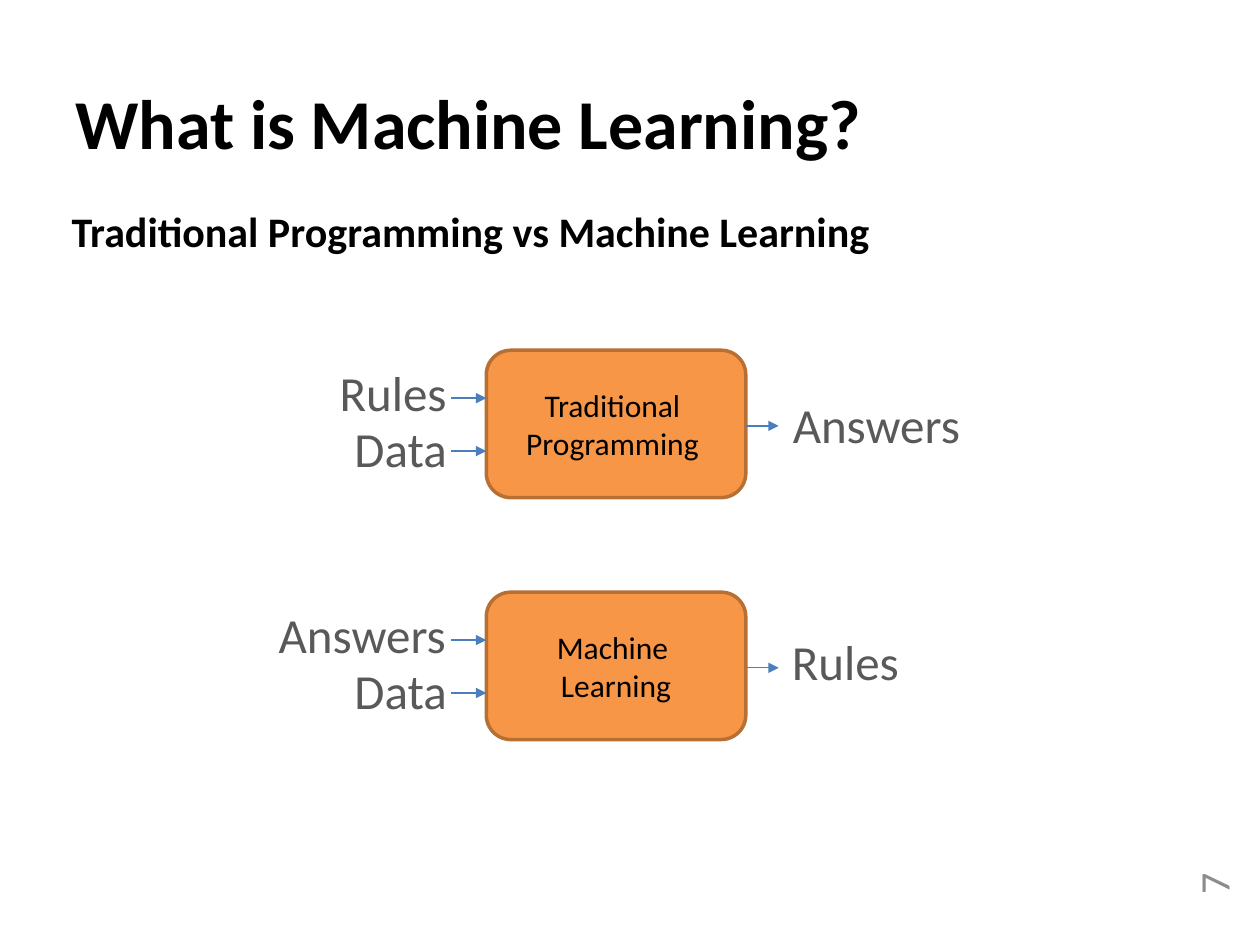
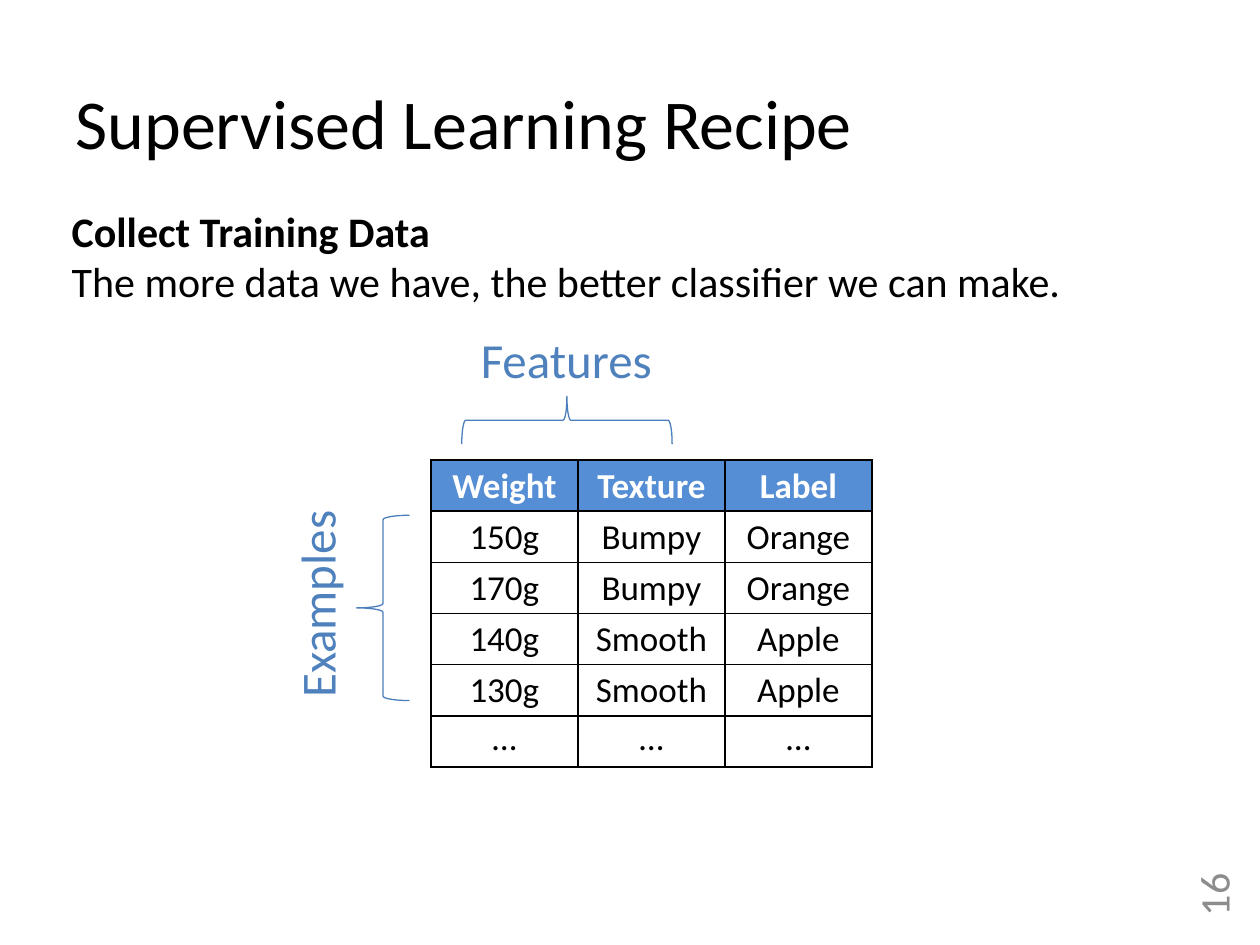
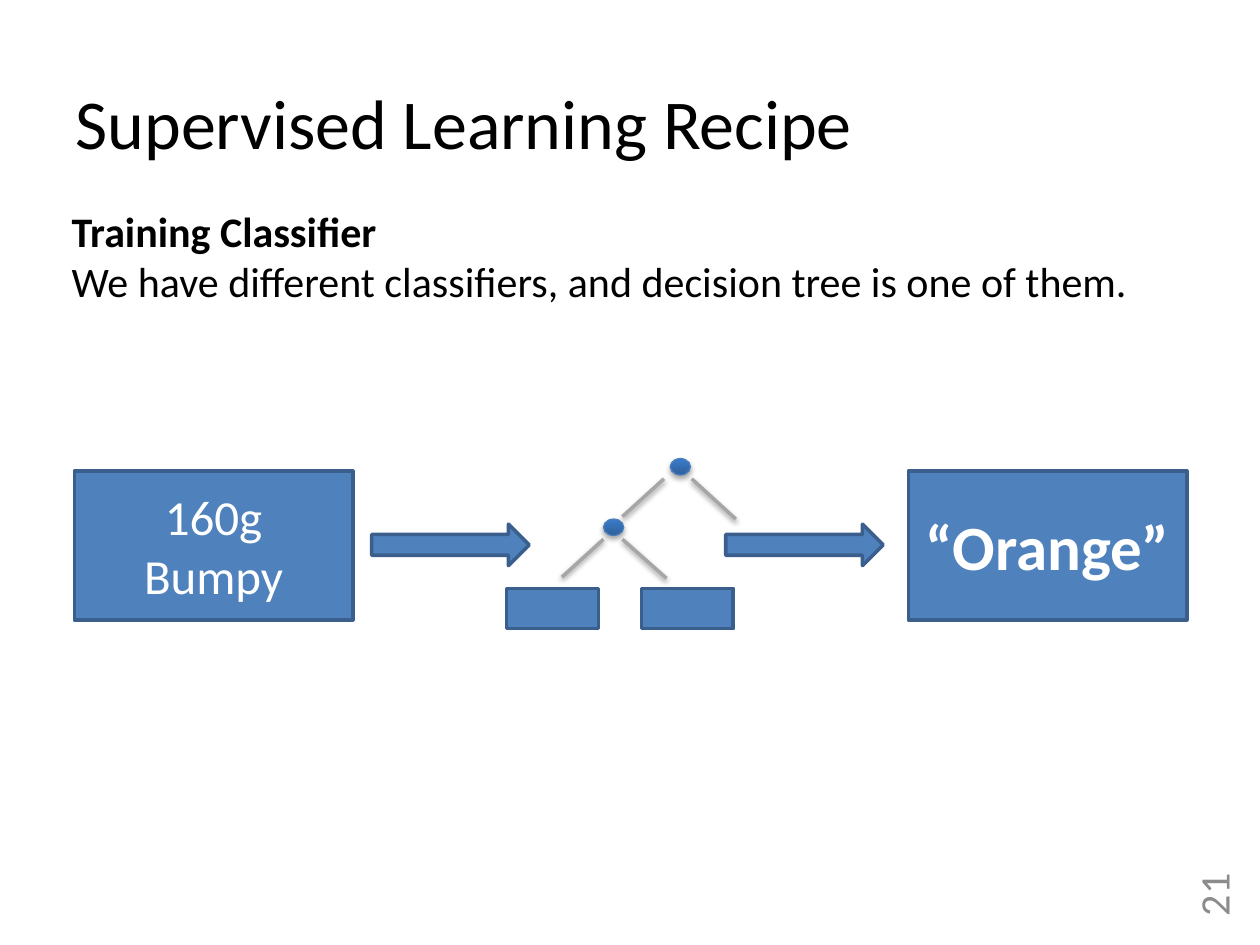
from dataclasses import dataclass

from lxml.etree import SubElement
from pptx import Presentation
from pptx.dml.color import RGBColor
from pptx.enum.shapes import MSO_CONNECTOR, MSO_SHAPE
from pptx.enum.text import MSO_ANCHOR, MSO_AUTO_SIZE, PP_ALIGN
from pptx.oxml.ns import qn
from pptx.util import Inches, Pt

FONT = "Calibri"
BLACK = "000000"
WHITE = "FFFFFF"
GRAY = "595959"
NUMBER_GRAY = "8C8C8C"
BRANCH_GRAY = "A6A6A6"
BLUE = "4F81BD"
DARK_BLUE = "3A5F8C"
LINE_BLUE = "4B7EBC"
HEADER_BLUE = "558ED5"
ORANGE = "F79646"
DARK_ORANGE = "B76F34"

LABEL_HEIGHT = 0.57
LABEL_WIDTHS = {"Rules": 1.06, "Data": 0.94, "Answers": 1.55, "Features": 1.57, "Examples": 1.7}


@dataclass(frozen=True)
class Box:
    left: float
    top: float
    width: float
    height: float

    def lengths(self) -> tuple:
        return tuple(Inches(value) for value in (self.left, self.top, self.width, self.height))


@dataclass(frozen=True)
class TextStyle:
    size: float
    color: str = BLACK
    bold: bool = False
    align: PP_ALIGN = PP_ALIGN.CENTER


@dataclass(frozen=True)
class Process:
    top: float
    name: tuple[str, ...]
    inputs: tuple[str, str]
    output: str
    output_offset: float


TITLE = TextStyle(40, align=PP_ALIGN.LEFT)
BOLD_TITLE = TextStyle(40, bold=True, align=PP_ALIGN.LEFT)
HEADING = TextStyle(24, bold=True, align=PP_ALIGN.LEFT)
BODY = TextStyle(24, align=PP_ALIGN.LEFT)
PAGE_NUMBER = TextStyle(24, NUMBER_GRAY, align=PP_ALIGN.RIGHT)
FLOW_LABEL = TextStyle(28, GRAY)
TABLE_LABEL = TextStyle(28, BLUE)

PROCESSES = (
    Process(2.78, ("Traditional ", "Programming "), ("Rules", "Data"), "Answers", 0.3),
    Process(4.7, ("Machine ", "Learning"), ("Answers", "Data"), "Rules", 0.26),
)

TRAINING_DATA = (
    ("Weight", "Texture", "Label"),
    ("150g", "Bumpy", "Orange"),
    ("170g", "Bumpy", "Orange"),
    ("140g", "Smooth", "Apple"),
    ("130g", "Smooth", "Apple"),
    ("…", "…", "…"),
)

TREE_NODES = ((4.79, 4.12), (5.32, 3.64))
TREE_BRANCHES = (
    ((5.27, 3.8), (4.94, 4.1)),
    ((4.79, 4.28), (4.46, 4.58)),
    ((5.49, 3.8), (5.84, 4.12)),
    ((4.94, 4.28), (5.29, 4.59)),
)


def rgb(color: str) -> RGBColor:
    return RGBColor.from_string(color)


def write_paragraph(paragraph, text: str, style: TextStyle) -> None:
    paragraph.text = text
    paragraph.alignment = style.align
    font = paragraph.font
    font.name, font.size, font.bold = FONT, Pt(style.size), style.bold
    font.color.rgb = rgb(style.color)


def write_text(text_frame, lines: list[tuple[str, TextStyle]]) -> None:
    for index, (text, style) in enumerate(lines):
        paragraph = text_frame.add_paragraph() if index else text_frame.paragraphs[0]
        write_paragraph(paragraph, text, style)


def add_text(slide, box: Box, lines: list[tuple[str, TextStyle]], wrap: bool = True, rotation: float = 0):
    shape = slide.shapes.add_textbox(*box.lengths())
    shape.rotation = rotation
    shape.text_frame.word_wrap = wrap
    shape.text_frame.auto_size = MSO_AUTO_SIZE.SHAPE_TO_FIT_TEXT
    write_text(shape.text_frame, lines)
    return shape


def add_label(slide, text: str, left: float, top: float, style: TextStyle, rotation: float = 0) -> None:
    box = Box(left, top, LABEL_WIDTHS[text], LABEL_HEIGHT)
    add_text(slide, box, [(text, style)], wrap=False, rotation=rotation)


def add_shape(slide, kind: MSO_SHAPE, box: Box, fill: str | None, line: str, line_width: float = 2):
    shape = slide.shapes.add_shape(kind, *box.lengths())
    shape.shadow.inherit = False
    if fill:
        shape.fill.solid()
        shape.fill.fore_color.rgb = rgb(fill)
    else:
        shape.fill.background()
    shape.line.color.rgb = rgb(line)
    shape.line.width = Pt(line_width)
    shape.text_frame.vertical_anchor = MSO_ANCHOR.MIDDLE
    return shape


def add_line(slide, start: tuple[float, float], end: tuple[float, float], color: str, width: float):
    ends = (Inches(value) for value in (*start, *end))
    line = slide.shapes.add_connector(MSO_CONNECTOR.STRAIGHT, *ends)
    line.line.color.rgb = rgb(color)
    line.line.width = Pt(width)
    SubElement(line._element.spPr, qn("a:effectLst"))
    return line


def add_arrow(slide, left: float, right: float, y: float) -> None:
    arrow = add_line(slide, (left, y), (right, y), LINE_BLUE, 0.75)
    SubElement(arrow.line._get_or_add_ln(), qn("a:tailEnd"), type="triangle")


def cast_shadow(shape, opacity: int, distance: float) -> None:
    """Give the shape a soft shadow straight below it."""
    effects = shape._element.spPr.find(qn("a:effectLst"))
    shadow = SubElement(effects, qn("a:outerShdw"), blurRad=str(Pt(3.1)), dist=str(Pt(distance)),
                        dir="5400000", rotWithShape="0")
    color = SubElement(shadow, qn("a:srgbClr"), val=BLACK)
    SubElement(color, qn("a:alpha"), val=str(opacity * 1000))


def add_base_slide(presentation, number: int, title: str, title_style: TextStyle, heading: str, body: str = ""):
    slide = presentation.slides.add_slide(presentation.slide_layouts[6])
    number_box = add_text(slide, Box(9.29, 6.96, 0.67, 0.42), [(str(number), PAGE_NUMBER)], rotation=270)
    number_box.text_frame.auto_size = MSO_AUTO_SIZE.NONE
    number_box.text_frame.vertical_anchor = MSO_ANCHOR.MIDDLE
    add_text(slide, Box(0.5, 0.58, 9.08, 0.77), [(title, title_style)])
    lines = [(heading, HEADING)] + ([(body, BODY)] if body else [])
    add_text(slide, Box(0.47, 1.58, 9.08, 0.91 if body else 0.5), lines)
    return slide


def add_process(slide, process: Process) -> None:
    box = Box(3.86, process.top, 2.06, 1.17)
    shape = add_shape(slide, MSO_SHAPE.ROUNDED_RECTANGLE, box, ORANGE, DARK_ORANGE)
    write_text(shape.text_frame, [(line, TextStyle(18)) for line in process.name])
    for index, name in enumerate(process.inputs):
        add_arrow(slide, 3.58, box.left, process.top + 0.38 + index * 0.42)
        add_label(slide, name, 3.65 - LABEL_WIDTHS[name], process.top + 0.05 + index * 0.44, FLOW_LABEL)
    add_arrow(slide, box.left + box.width, 6.18, process.top + 0.6)
    add_label(slide, process.output, 6.18, process.top + process.output_offset, FLOW_LABEL)


def border_cell(cell) -> None:
    properties = cell._tc.get_or_add_tcPr()
    for index, side in enumerate(("a:lnL", "a:lnR", "a:lnT", "a:lnB")):
        line = properties.makeelement(qn(side), {"w": str(Pt(1))})
        SubElement(SubElement(line, qn("a:solidFill")), qn("a:srgbClr"), val=BLACK)
        properties.insert(index, line)


def add_training_table(slide) -> None:
    box = Box(3.42, 3.65, 3.5, 2.44)
    last_row = len(TRAINING_DATA) - 1
    table = slide.shapes.add_table(len(TRAINING_DATA), len(TRAINING_DATA[0]), *box.lengths()).table
    table.horz_banding = False
    for row_index, values in enumerate(TRAINING_DATA):
        is_header = row_index == 0
        style = TextStyle(20, WHITE if is_header else BLACK, is_header)
        for column_index, value in enumerate(values):
            cell = table.cell(row_index, column_index)
            cell.margin_left = cell.margin_right = cell.margin_top = Inches(0.01)
            cell.margin_bottom = 0
            cell.vertical_anchor = MSO_ANCHOR.TOP if row_index == last_row else MSO_ANCHOR.MIDDLE
            if is_header:
                cell.fill.solid()
                cell.fill.fore_color.rgb = rgb(HEADER_BLUE)
            else:
                cell.fill.background()
            border_cell(cell)
            write_paragraph(cell.text_frame.paragraphs[0], value, style)


def add_tree(slide) -> None:
    for left, top in TREE_NODES:
        node = add_shape(slide, MSO_SHAPE.OVAL, Box(left, top, 0.16, 0.13), BLUE, LINE_BLUE, 0.75)
        node.fill.gradient()
        node.fill.gradient_angle = 90
        for stop, color in zip(node.fill.gradient_stops, ("2F5F99", "3A7CCB")):
            stop.color.rgb = rgb(color)
        cast_shadow(node, 35, 1.8)
    for start, end in TREE_BRANCHES:
        cast_shadow(add_line(slide, start, end, BRANCH_GRAY, 2), 38, 1.6)
    for left in (4.02, 5.09):
        add_shape(slide, MSO_SHAPE.RECTANGLE, Box(left, 4.67, 0.73, 0.32), BLUE, DARK_BLUE)


def build_comparison_slide(presentation) -> None:
    slide = add_base_slide(presentation, 7, "What is Machine Learning?", BOLD_TITLE,
                           "Traditional Programming vs Machine Learning")
    for process in PROCESSES:
        add_process(slide, process)


def build_data_slide(presentation) -> None:
    slide = add_base_slide(presentation, 16, "Supervised Learning Recipe", TITLE, "Collect Training Data",
                           "The more data we have, the better classifier we can make.")
    add_training_table(slide)
    features_brace = add_shape(slide, MSO_SHAPE.RIGHT_BRACE, Box(4.31, 2.5, 0.38, 1.67), None, LINE_BLUE, 0.75)
    features_brace.rotation = 270
    add_label(slide, "Features", 3.71, 2.57, TABLE_LABEL)
    add_label(slide, "Examples", 1.66, 4.51, TABLE_LABEL, rotation=270)
    add_shape(slide, MSO_SHAPE.LEFT_BRACE, Box(2.83, 4.09, 0.42, 1.47), None, LINE_BLUE, 0.75)


def build_classifier_slide(presentation) -> None:
    slide = add_base_slide(presentation, 21, "Supervised Learning Recipe", TITLE, "Training Classifier",
                           "We have different classifiers, and decision tree is one of them.")
    add_tree(slide)
    for left in (2.95, 5.76):
        add_shape(slide, MSO_SHAPE.RIGHT_ARROW, Box(left, 4.16, 1.25, 0.33), BLUE, DARK_BLUE)
    for left, text, style in (
        (7.21, "“Orange”", TextStyle(36, WHITE, True)),
        (0.59, "160g\nBumpy", TextStyle(28, WHITE)),
    ):
        shape = add_shape(slide, MSO_SHAPE.RECTANGLE, Box(left, 3.74, 2.21, 1.18), BLUE, DARK_BLUE)
        write_text(shape.text_frame, [(text, style)])


def main() -> None:
    presentation = Presentation()
    presentation.slide_width = Inches(10)
    presentation.slide_height = Inches(7.5)
    build_comparison_slide(presentation)
    build_data_slide(presentation)
    build_classifier_slide(presentation)
    presentation.save("out.pptx")


if __name__ == "__main__":
    main()
